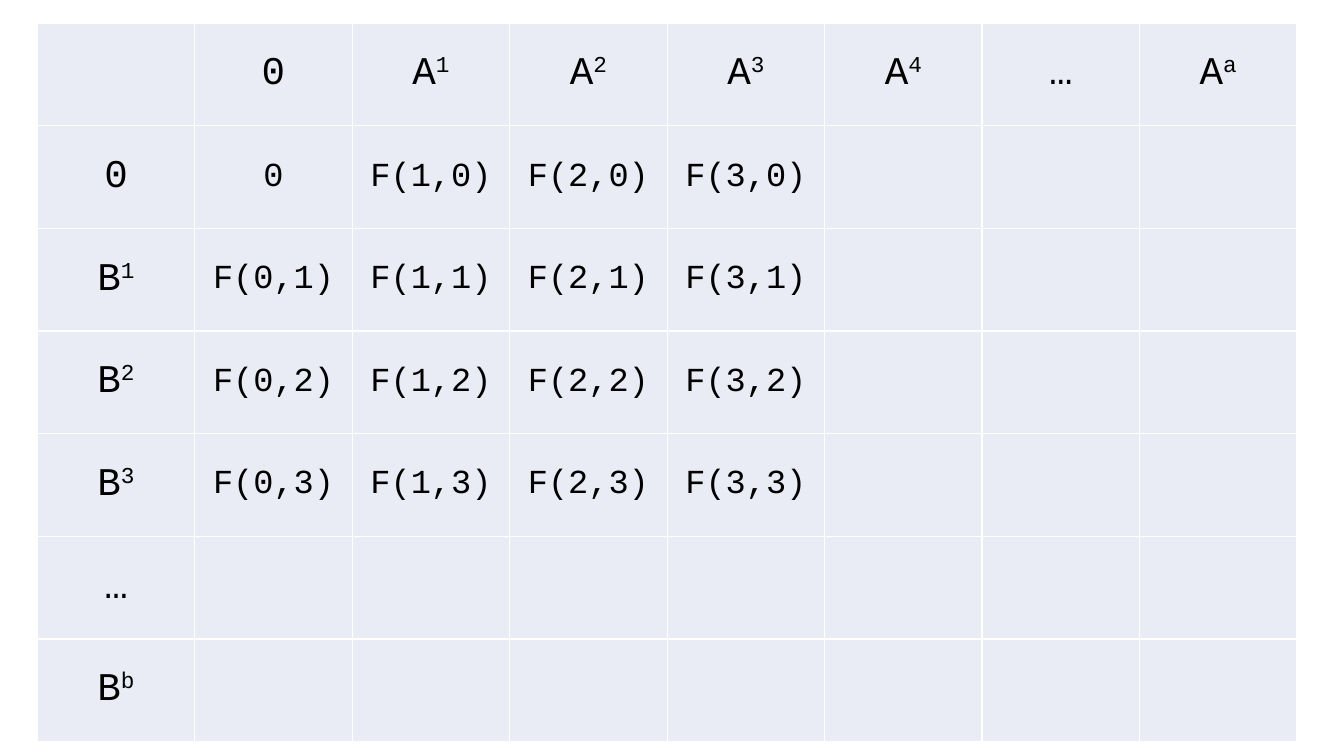
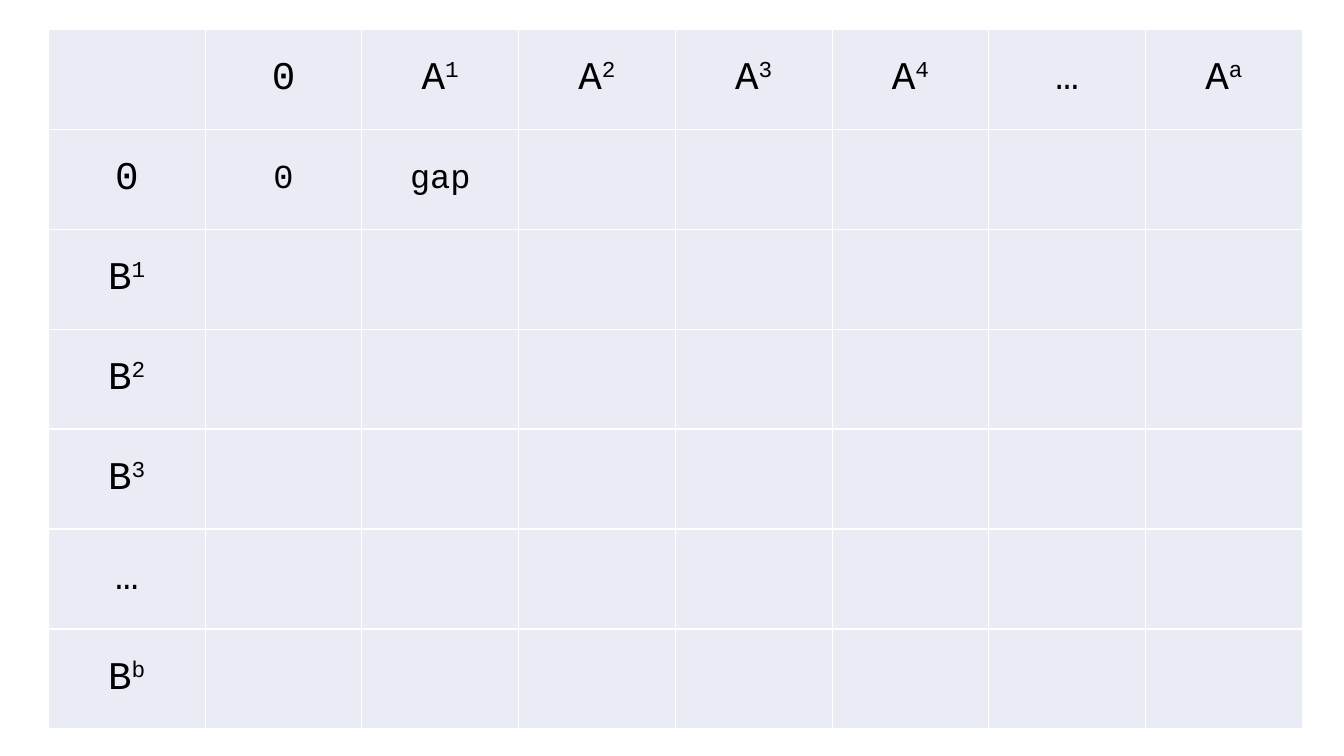
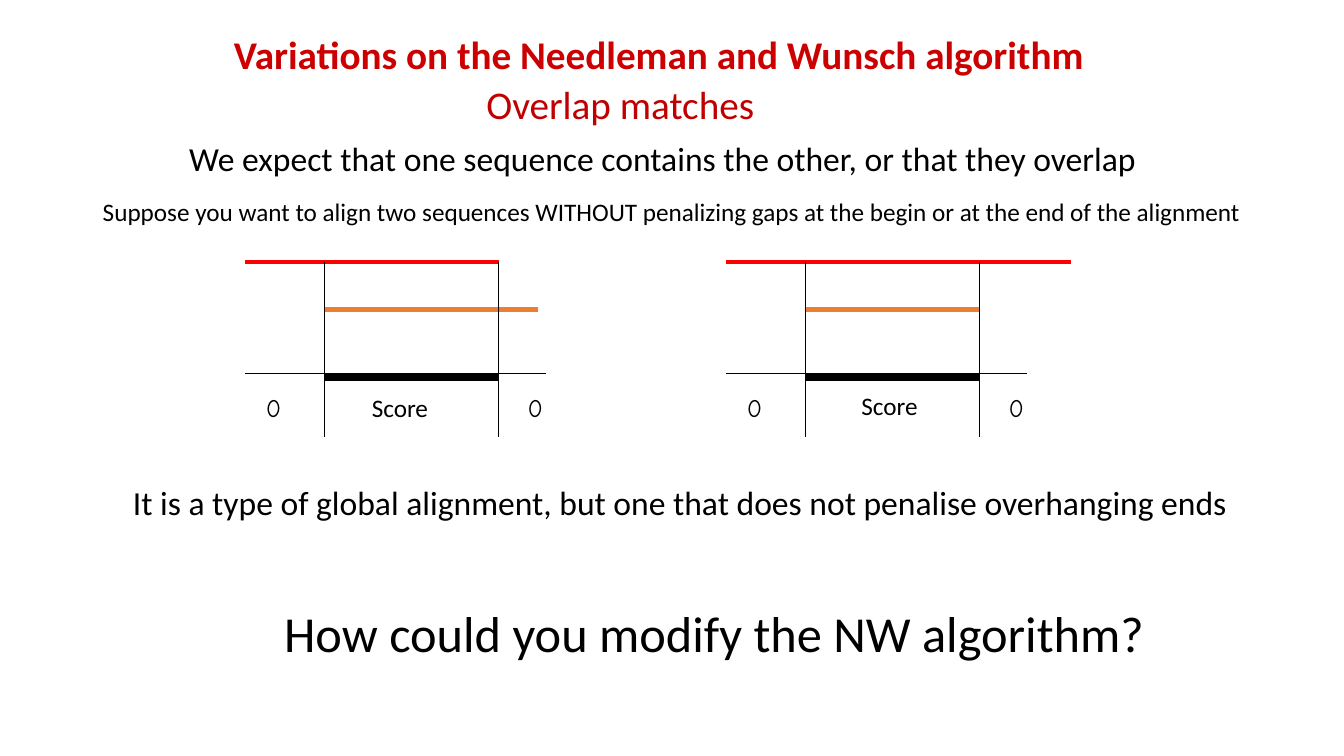
from lxml import etree
from pptx import Presentation
from pptx.dml.color import RGBColor
from pptx.enum.shapes import MSO_CONNECTOR
from pptx.enum.text import MSO_ANCHOR, PP_ALIGN
from pptx.oxml.ns import qn
from pptx.util import Cm, Pt

STRAIGHT = MSO_CONNECTOR.STRAIGHT
TOP, MIDDLE = MSO_ANCHOR.TOP, MSO_ANCHOR.MIDDLE
CENTER = PP_ALIGN.CENTER

COLORS = {"text": "000000", "title": "CC0000", "subtitle": "C00000",
          "cell": "E9EBF5", "border": "FFFFFF",
          "first sequence": "FF0000", "second sequence": "ED7D31"}
BODY_FONT, MATRIX_FONT, ZERO_FONT = "Calibri", "Courier New", "Comic Neue"
HEADING_SIZE, LABEL_SIZE, CELL_SIZE = 28, 28, 24

presentation = Presentation()
presentation.slide_width, presentation.slide_height = Cm(33.87), Cm(19.05)
title_layout, blank_layout = presentation.slide_layouts[5], presentation.slide_layouts[6]


def format_run(run, size, color="text", font=BODY_FONT, bold=False):
    run.font.size = Pt(size)
    run.font.name = font
    run.font.bold = bold
    run.font.color.rgb = RGBColor.from_string(COLORS[color])


def add_line(slide, start, end, width, color="text"):
    line = slide.shapes.add_connector(STRAIGHT, *map(Cm, start + end))
    line.line.width = Pt(width)
    line.line.color.rgb = RGBColor.from_string(COLORS[color])
    etree.SubElement(line._element.spPr, qn("a:effectLst"))


# Alignment matrices: "^" separates a label from its superscript
column_labels = ["", "0", "A^1", "A^2", "A^3", "A^4", "…", "A^a"]
row_labels = ["", "0", "B^1", "B^2", "B^3", "…", "B^b"]
score_entries = {(j + 1, i + 1): f"F({i},{j})" for i in range(4) for j in range(4)}
score_entries[1, 1] = "0"
gap_entries = {(1, 1): "0", (1, 2): "gap"}

matrices = [
    (score_entries, 0.94, 0.58, 31.75, 18.11),
    (gap_entries, 1.22, 0.74, 31.6, 17.63),
]
for entries, left, top, width, height in matrices:
    slide = presentation.slides.add_slide(blank_layout)
    table = slide.shapes.add_table(len(row_labels), len(column_labels),
                                   Cm(left), Cm(top), Cm(width), Cm(height)).table
    table.first_row = table.horz_banding = False
    for row, row_label in enumerate(row_labels):
        for column, column_label in enumerate(column_labels):
            cell = table.cell(row, column)
            cell.vertical_anchor = MIDDLE
            cell.fill.solid()
            cell.fill.fore_color.rgb = RGBColor.from_string(COLORS["cell"])

            # Cell borders come before the fill
            properties = cell._tc.get_or_add_tcPr()
            for position, side in enumerate(("a:lnL", "a:lnR", "a:lnT", "a:lnB")):
                border = etree.Element(qn(side), w=str(Pt(1)))
                border_fill = etree.SubElement(border, qn("a:solidFill"))
                etree.SubElement(border_fill, qn("a:srgbClr"), val=COLORS["border"])
                properties.insert(position, border)

            # Label or entry
            is_label = row == 0 or column == 0
            text = row_label or column_label if is_label else entries.get((row, column), "")
            if row and column == 0:
                text = row_label
            paragraph = cell.text_frame.paragraphs[0]
            paragraph.alignment = CENTER
            for index, part in enumerate(text.split("^") if text else []):
                run = paragraph.add_run()
                run.text = part
                format_run(run, LABEL_SIZE if is_label else CELL_SIZE, font=MATRIX_FONT)
                if index:
                    run._r.get_or_add_rPr().set("baseline", "30000")

# Overlap matches: title
slide = presentation.slides.add_slide(title_layout)
title = slide.shapes.title
title.left, title.top, title.width, title.height = Cm(4.39), Cm(0.64), Cm(24.41), Cm(1.45)
title.text_frame.text = "Variations on the Needleman and Wunsch algorithm"
title.text_frame.vertical_anchor = TOP
title.text_frame.paragraphs[0].alignment = CENTER
format_run(title.text_frame.paragraphs[0].runs[0], HEADING_SIZE, "title", bold=True)

# Statements: text, left, top, width, height, size, color, font, wrap
texts = [
    ("Overlap matches", 12.01, 1.9, 7.34, 1.45, HEADING_SIZE, "subtitle", BODY_FONT, False),
    ("We expect that one sequence contains the other, or that they overlap",
     4.52, 3.35, 24.59, 1.27, 24, "text", BODY_FONT, False),
    ("Suppose you want to align two sequences WITHOUT penalizing gaps at the begin "
     "or at the end of the alignment",
     2.34, 4.83, 30.12, 1.02, 18, "text", BODY_FONT, True),
    ("It is a type of global alignment, but one that does not penalise overhanging ends",
     3.1, 12.01, 28.63, 1.27, 24, "text", BODY_FONT, False),
    ("How could you modify the NW algorithm?",
     6.91, 15.04, 22.68, 1.8, 36, "text", BODY_FONT, False),
]

# Diagrams: left edge, ends of both sequences, place of the score label
overlap_start, overlap_end = 2.01, 6.4
diagrams = [
    (6.17, overlap_end, 7.39, 2.95, 9.75),
    (18.29, 8.69, overlap_end, 3.17, 9.7),
]
for left, first_end, second_end, score_left, score_top in diagrams:
    start, end = left + overlap_start, left + overlap_end
    add_line(slide, (left, 6.6), (left + first_end, 6.6), 3, "first sequence")
    add_line(slide, (start, 7.8), (left + second_end, 7.8), 3, "second sequence")
    add_line(slide, (left, 9.4), (left + 7.59, 9.4), 0.5)
    for boundary in (start, end):
        add_line(slide, (boundary, 11), (boundary, 6.6), 0.75)
    add_line(slide, (start, 9.5), (end, 9.5), 6)
    texts.append(("Score", left + score_left, score_top, 2.03, 1.02,
                  18, "text", BODY_FONT, False))
    for zero_left in (0.28, 6.88):
        texts.append(("0", left + zero_left, 9.75, 0.91, 1.02,
                      18, "text", ZERO_FONT, False))

for text, left, top, width, height, size, color, font, wrap in texts:
    box = slide.shapes.add_textbox(Cm(left), Cm(top), Cm(width), Cm(height))
    box.text_frame.word_wrap = wrap
    box.text_frame.text = text
    format_run(box.text_frame.paragraphs[0].runs[0], size, color, font)

presentation.save("out.pptx")
